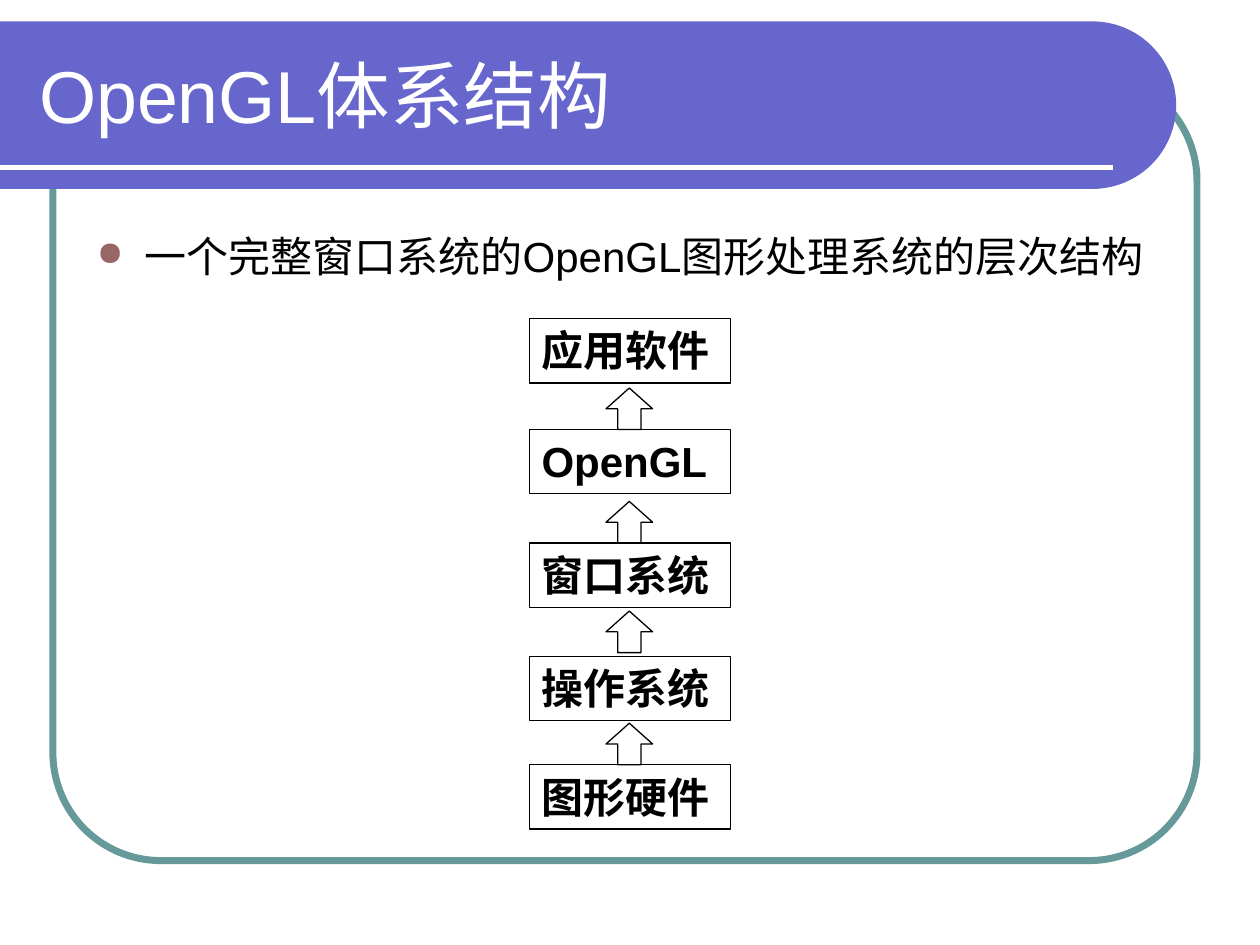
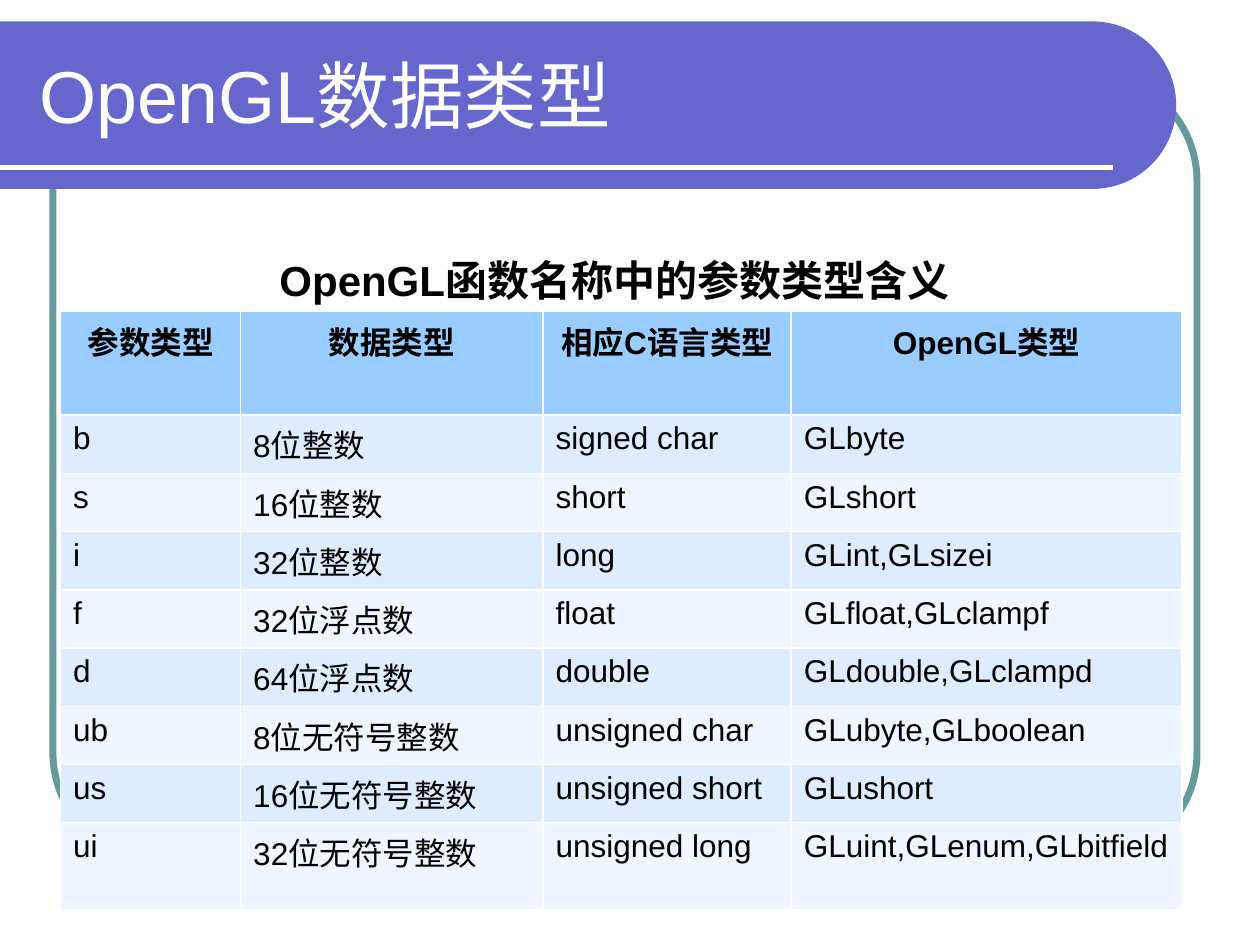
import math
from dataclasses import dataclass

from lxml import etree
from pptx import Presentation
from pptx.dml.color import RGBColor
from pptx.enum.shapes import MSO_CONNECTOR, MSO_SHAPE
from pptx.enum.text import MSO_ANCHOR, MSO_AUTO_SIZE, PP_ALIGN
from pptx.oxml.ns import qn
from pptx.util import Inches, Pt

RECT = MSO_SHAPE.RECTANGLE
ROUND_RECT = MSO_SHAPE.ROUNDED_RECTANGLE
UP_ARROW = MSO_SHAPE.UP_ARROW
STRAIGHT = MSO_CONNECTOR.STRAIGHT
LEFT, CENTER = PP_ALIGN.LEFT, PP_ALIGN.CENTER
TOP, MIDDLE = MSO_ANCHOR.TOP, MSO_ANCHOR.MIDDLE
NO_AUTOFIT = MSO_AUTO_SIZE.NONE
TITLE_ONLY = 5


@dataclass(frozen=True)
class Theme:
    font: str = "Arial"
    text: str = "000000"
    white: str = "FFFFFF"
    band: str = "6666CC"
    frame: str = "669999"
    bullet: str = "996666"
    header: str = "99CCFF"
    stripes: tuple[str, str] = ("DEECFF", "EFF6FF")
    title_size: int = 42
    body_size: int = 24
    table_size: int = 18


@dataclass(frozen=True)
class Box:
    left: float
    top: float
    width: float
    height: float

    def emu(self) -> tuple[int, ...]:
        return tuple(Inches(v) for v in (self.left, self.top, self.width, self.height))


@dataclass(frozen=True)
class Layer:
    name: str
    top: float
    arrow_top: float | None = None


@dataclass(frozen=True)
class DataType:
    suffix: str
    meaning: str
    c_type: str
    gl_type: str

    def cells(self) -> tuple[str, ...]:
        return self.suffix, self.meaning, self.c_type, self.gl_type


THEME = Theme()

LAYERS = (
    Layer("应用软件", 2.53),
    Layer("OpenGL", 3.41, 3.08),
    Layer("窗口系统", 4.31, 3.98),
    Layer("操作系统", 5.21, 4.85),
    Layer("图形硬件", 6.07, 5.74),
)

HEADERS = ("参数类型", "数据类型", "相应C语言类型", "OpenGL类型")
DATA_TYPES = (
    DataType("b", "8位整数", "signed char", "GLbyte"),
    DataType("s", "16位整数", "short", "GLshort"),
    DataType("i", "32位整数", "long", "GLint,GLsizei"),
    DataType("f", "32位浮点数", "float", "GLfloat,GLclampf"),
    DataType("d", "64位浮点数", "double", "GLdouble,GLclampd"),
    DataType("ub", "8位无符号整数", "unsigned char", "GLubyte,GLboolean"),
    DataType("us", "16位无符号整数", "unsigned short", "GLushort"),
    DataType("ui", "32位无符号整数", "unsigned long", "GLuint,GLenum,GLbitfield"),
)
COL_WIDTHS = (1.43, 2.4, 1.97, 3.1)
ROW_HEIGHT, LAST_ROW_HEIGHT = 0.41, 0.69


def rgb(color: str) -> RGBColor:
    return RGBColor.from_string(color)


def add_bullet(p, indent: float = 0.38) -> None:
    pPr = p._p.get_or_add_pPr()
    pPr.set("marL", str(Inches(indent)))
    pPr.set("indent", str(-Inches(indent)))
    color = etree.SubElement(pPr, qn("a:buClr"))
    etree.SubElement(color, qn("a:srgbClr"), val=THEME.bullet)
    etree.SubElement(pPr, qn("a:buSzPct"), val="80000")
    etree.SubElement(pPr, qn("a:buChar"), char="●")


def write(tf, text: str, *, size: int = THEME.body_size, color: str = THEME.text,
          bold: bool = False, align=LEFT, anchor=TOP, bullet: bool = False) -> None:
    tf.word_wrap = True
    tf.vertical_anchor = anchor
    p = tf.paragraphs[0]
    p.alignment = align
    if bullet:
        add_bullet(p)
    r = p.add_run()
    r.text = text
    r.font.name = THEME.font
    r.font.size = Pt(size)
    r.font.bold = bold
    r.font.color.rgb = rgb(color)


def add_outline(s, kind, box: Box, *, color: str = THEME.text, width: float = 0.75):
    sp = s.shapes.add_shape(kind, *box.emu())
    sp.shadow.inherit = False
    sp.fill.background()
    sp.line.color.rgb = rgb(color)
    sp.line.width = Pt(width)
    return sp


def add_text(s, text: str, box: Box, **style) -> None:
    write(s.shapes.add_textbox(*box.emu()).text_frame, text, **style)


def add_band(s, top: float = 0.17, bottom: float = 1.5, straight: float = 8.67):
    radius, steps = (bottom - top) / 2, 48
    arc = []
    for i in range(steps + 1):
        angle = math.pi * (i / steps - 0.5)
        arc.append((Inches(straight + radius * math.cos(angle)),
                    Inches(top + radius + radius * math.sin(angle))))
    builder = s.shapes.build_freeform(0, Inches(top))
    builder.add_line_segments([*arc, (0, Inches(bottom))], close=True)
    sp = builder.convert_to_shape()
    sp.shadow.inherit = False
    sp.fill.solid()
    sp.fill.fore_color.rgb = rgb(THEME.band)
    sp.line.fill.background()
    return sp


def add_rule(s):
    y = Inches(1.33)
    line = s.shapes.add_connector(STRAIGHT, 0, y, Inches(8.83), y)
    line.line.color.rgb = rgb(THEME.white)
    line.line.width = Pt(3)
    etree.SubElement(line._element.spPr, qn("a:effectLst"))
    return line


def decorate_layout(layout, s) -> None:
    for ph in list(layout.placeholders):
        if ph.placeholder_format.idx != 0:
            ph.element.getparent().remove(ph.element)
    frame = add_outline(s, ROUND_RECT, Box(0.42, 0.58, 9.08, 6.25),
                        color=THEME.frame, width=4)
    frame.adjustments[0] = 0.137 
    tree = layout.shapes.element
    for i, sp in enumerate((frame, add_band(s), add_rule(s))):
        tree.insert(2 + i, sp._element)


def set_title(s, text: str) -> None:
    sp = s.shapes.title
    sp.left, sp.top, sp.width, sp.height = Box(0.21, 0.25, 8.77, 1).emu()
    sp.text_frame.auto_size = NO_AUTOFIT
    write(sp.text_frame, text, size=THEME.title_size, color=THEME.white, anchor=MIDDLE)


def build_architecture(s) -> None:
    set_title(s, "OpenGL体系结构")
    add_text(s, "一个完整窗口系统的OpenGL图形处理系统的层次结构",
             Box(0.67, 1.78, 8.7, 0.6), bullet=True)
    for layer in LAYERS:
        sp = add_outline(s, RECT, Box(4.2, layer.top, 1.6, 0.51))
        write(sp.text_frame, layer.name, bold=True)
        if layer.arrow_top is not None:
            add_outline(s, UP_ARROW, Box(4.81, layer.arrow_top, 0.37, 0.33))


def build_data_types(s) -> None:
    set_title(s, "OpenGL数据类型")
    rows = [HEADERS, *(d.cells() for d in DATA_TYPES)]
    heights = [ROW_HEIGHT] * (len(rows) - 1) + [LAST_ROW_HEIGHT]
    box = Box(0.48, 2.47, sum(COL_WIDTHS), sum(heights))
    table = s.shapes.add_table(len(rows), len(COL_WIDTHS), *box.emu()).table
    for col, width in zip(table.columns, COL_WIDTHS):
        col.width = Inches(width)
    for i, (texts, height) in enumerate(zip(rows, heights)):
        table.rows[i].height = Inches(height)
        is_header = i == 0
        fill = THEME.header if is_header else THEME.stripes[(i - 1) % 2]
        for j, text in enumerate(texts):
            cell = table.cell(i, j)
            cell.fill.solid()
            cell.fill.fore_color.rgb = rgb(fill)
            write(cell.text_frame, text, size=THEME.table_size, bold=is_header,
                  align=CENTER if is_header else LEFT)
    add_text(s, "OpenGL函数名称中的参数类型含义", Box(2.12, 1.97, 5.76, 0.51), bold=True)


def main() -> None:
    prs = Presentation()
    prs.slide_width, prs.slide_height = Inches(10), Inches(7.5)
    layout = prs.slide_layouts[TITLE_ONLY]
    architecture, data_types = (prs.slides.add_slide(layout) for _ in range(2))
    decorate_layout(layout, architecture)
    build_architecture(architecture)
    build_data_types(data_types)
    prs.save("out.pptx")


if __name__ == "__main__":
    main()
